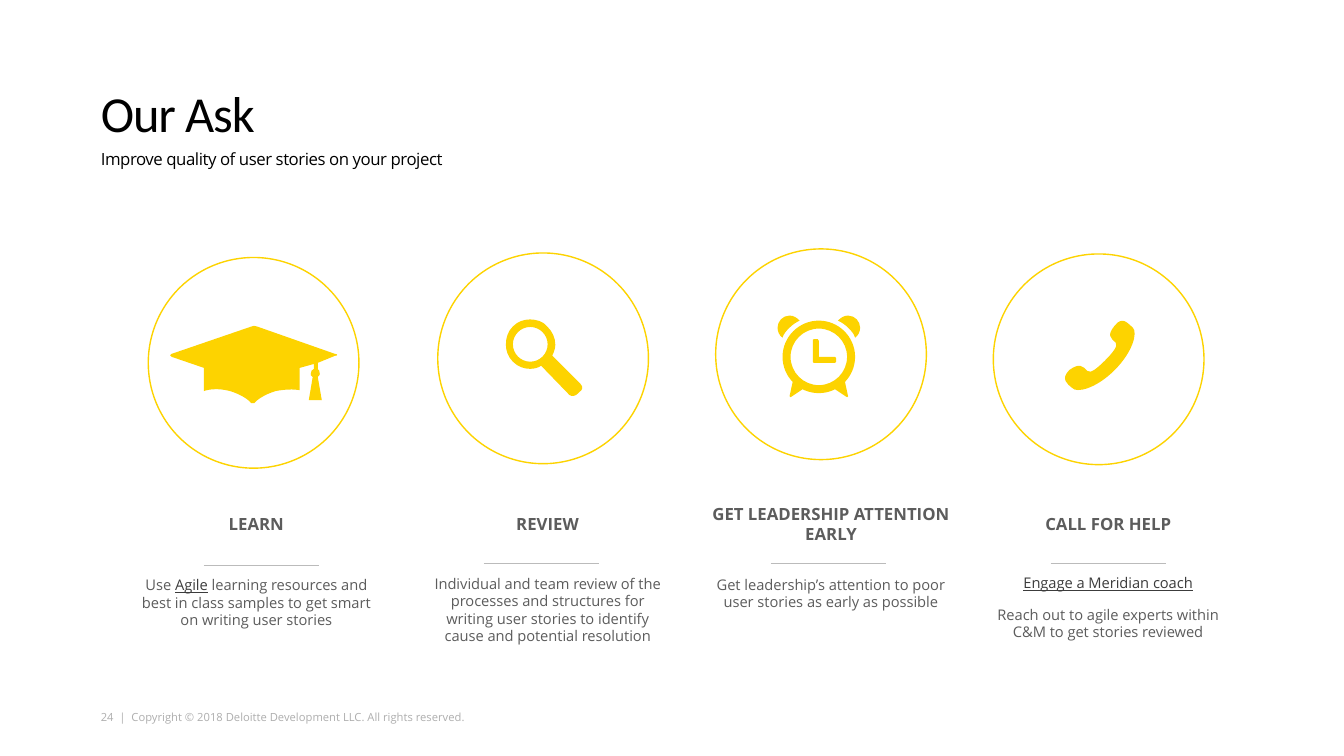
from lxml.etree import SubElement
from pptx import Presentation
from pptx.dml.color import RGBColor
from pptx.enum.shapes import MSO_CONNECTOR as Connector, MSO_SHAPE as Shape
from pptx.enum.text import MSO_ANCHOR as Anchor, MSO_AUTO_SIZE as AutoSize, PP_ALIGN as Align
from pptx.oxml.ns import qn
from pptx.util import Pt

COLORS = {"yellow": "FDD300", "black": "000000", "gray": "5C5C5C",
          "link": "3C3C3C", "rule": "BBBBBB", "footer": "AEAEAE"}
TITLE = "Our Ask"
SUBTITLE = "Improve quality of user stories on your project"
FOOTER = "24  |  Copyright © 2018 Deloitte Development LLC. All rights reserved."

# Outlines in points: a pair is a corner, six numbers are a Bézier curve
CAP = [(118.1, 20.2), (62.6, 0.7), (61, 0, 59.5, 0, 58.3, 0.7), (1.4, 20.2),
       (0, 20.9, 0, 21.6, 1.4, 22.3), (24.5, 30.2), (24.5, 46.8),
       (28, 45.4, 35.3, 44.6, 43.2, 46.8), (50.4, 49, 56.2, 52.6, 58.3, 55.4),
       (60.5, 55.4), (62.6, 52.6, 68.4, 49, 75.6, 46.8),
       (82.8, 45.4, 88.6, 45.4, 92.9, 46.1), (92.9, 30.2), (103, 27.4), (103, 31),
       (101.5, 31.7, 100.8, 32.4, 100.8, 34.6), (100.8, 35.3, 100.8, 36, 102.2, 36.7),
       (99.4, 53.3), (108.7, 53.3), (105.8, 36.7),
       (106.6, 36, 107.3, 35.3, 107.3, 34.6), (107.3, 32.4, 106.6, 31.7, 105.8, 31),
       (105.8, 26.6), (118.1, 21.6), (120.2, 21.6, 120.2, 20.2, 118.1, 20.2)]
LENS = [(33.1, 25.9), (53.3, 46.1), (55.4, 48.2, 54.7, 50.4, 52.6, 51.8), (51.8, 52.6),
        (49.7, 54.7, 47.5, 55.4, 45.4, 54), (25.2, 33.1),
        (23, 34.6, 20.2, 35.3, 17.3, 35.3), (13, 35.3, 8.6, 33.8, 5, 30.2),
        (1.4, 26.6, 0, 22.3, 0, 18), (0, 13, 1.4, 8.6, 5, 5), (8.6, 1.4, 13, 0, 17.3, 0),
        (21.6, 0, 26.6, 1.4, 29.5, 5), (33.1, 8.6, 35.3, 13, 35.3, 18),
        (35.3, 20.2, 34.6, 23, 33.1, 25.9)]
HANDS = [(25.2, 17.3), (25.2, 16.9, 25.6, 16.9, 25.9, 16.9), (28.8, 16.9),
         (29.5, 16.9, 29.5, 17.3, 29.5, 18), (29.5, 29.5), (41, 29.5),
         (41.8, 29.5, 41.8, 29.9, 41.8, 30.2), (41.8, 33.1),
         (41.8, 33.8, 41.4, 33.8, 41, 33.8), (25.9, 33.8),
         (25.6, 33.8, 25.2, 33.8, 25.2, 33.1)]
BELL = [(59, 8.6), (59, 11.5, 57.6, 14.4, 55.4, 15.8), (54.7, 13, 52.6, 10.8, 50.4, 8.6),
        (48.2, 6.5, 46.1, 5, 43.2, 3.6), (45.4, 1.4, 47.5, 0, 50.4, 0),
        (55.4, 0, 59, 4.3, 59, 8.6)]
FOOT = [(48.2, 47.5), (50.4, 57.6), (49.7, 58.3), (41, 52.6),
        (43.7, 51.3, 46.2, 49.6, 48.2, 47.5)]
PHONE = [(31.7, 32.4), (26.6, 37.4, 21.6, 41.8, 19.4, 39.6),
         (15.8, 36, 13.7, 33.8, 6.5, 38.9), (0, 45.4, 5, 49, 8.6, 51.8),
         (11.5, 55.4, 25.2, 52.6, 38.9, 38.9), (51.8, 25.9, 55.4, 12.2, 51.8, 8.6),
         (48.2, 5.8, 44.6, 0, 38.9, 7.2), (33.1, 14.4, 36, 15.8, 39.6, 19.4),
         (41.8, 21.6, 36.7, 27.4, 31.7, 32.4)]


def mirror(outline, width=59):
    return [tuple(width - v if i % 2 == 0 else v for i, v in enumerate(step))
            for step in outline]


def circle(x, y, r):
    k = 0.55 * r
    return [(x + r, y), (x + r, y + k, x + k, y + r, x, y + r),
            (x - k, y + r, x - r, y + k, x - r, y),
            (x - r, y - k, x - k, y - r, x, y - r),
            (x + k, y - r, x + r, y - k, x + r, y)]


CLOCK = [circle(29.5, 29.5, 25.9), circle(29.5, 29.5, 20.2), HANDS,
         BELL, mirror(BELL), FOOT, mirror(FOOT)]

# Each column: circle (left, top), heading (left, width), rule (left, top),
# detail (left, top), icon (left, top); a detail run is (text, is link)
COLUMNS = [
    {"heading": "LEARN", "detail": [[("Use ", False), ("Agile", True), (
        " learning resources and best in class samples to get smart on writing user stories",
        False)]],
     "circle": (105.9, 183.9), "label": (76.6, 213.1), "rule": (145.6, 403.9),
     "text": (91.4, 407.9), "icon": (121.2, 232.6), "outlines": [CAP]},
    {"heading": "REVIEW", "detail": [[(
        "Individual and team review of the processes and structures for "
        "writing user stories to identify cause and potential resolution", False)]],
     "circle": (312.7, 180.7), "label": (278.8, 224.6), "rule": (345.6, 402.5),
     "text": (299.5, 406.8), "icon": (361.4, 228.2),
     "outlines": [LENS, circle(17.4, 17.8, 12.4)]},
    {"heading": "GET LEADERSHIP ATTENTION EARLY", "detail": [[(
        "Get leadership’s attention to poor user stories as early as possible", False)]],
     "circle": (511.2, 177.8), "label": (483.1, 221), "rule": (550.6, 402.5),
     "text": (501.8, 407.5), "icon": (555.4, 225.4), "outlines": CLOCK},
    {"heading": "CALL FOR HELP", "detail": [
        [("Engage a Meridian coach", True)],
        [("Reach out to agile experts within C&M to get stories reviewed", False)]],
     "circle": (709.5, 181.4), "label": (708.5, 166.3), "rule": (750.5, 402.5),
     "text": (699.8, 406.3), "icon": (757.4, 225.4), "outlines": [PHONE]},
]
DIAMETER, RULE_WIDTH, DETAIL_WIDTH = 150.5, 82.3, 183.6

deck = Presentation()
deck.slide_width, deck.slide_height = Pt(960), Pt(540)
page = deck.slides.add_slide(deck.slide_layouts[1])
shapes = page.shapes


def color(name):
    return RGBColor.from_string(COLORS[name])


def add_span(para, text, size, tint, face="Open Sans", spacing=None):
    span = para.add_run()
    span.text = text
    span.font.size, span.font.name = Pt(size), face
    span.font.color.rgb = color(tint)
    if spacing:
        span.font._element.set("spc", str(spacing))
    return span


def set_frame(box, anchor=Anchor.TOP, wrap=True, margins=(7.2, 3.6, 7.2, 3.6)):
    frame = box.text_frame
    frame.auto_size, frame.word_wrap = AutoSize.NONE, wrap
    frame.vertical_anchor = anchor
    (frame.margin_left, frame.margin_top,
     frame.margin_right, frame.margin_bottom) = map(Pt, margins)
    return frame


def add_box(left, top, width, height, **options):
    return set_frame(shapes.add_textbox(Pt(left), Pt(top), Pt(width), Pt(height)), **options)


def add_icon(outlines, left, top):
    traces = [[(Pt(left + x), Pt(top + y)) for step in outline
               for x, y in zip(step[::2], step[1::2])] for outline in outlines]
    builder = shapes.build_freeform(*traces[0][0])
    for i, points in enumerate(traces):
        if i:
            builder.move_to(*points[0])
        builder.add_line_segments(points[1:], close=True)
    icon = builder.convert_to_shape()
    # Join each run of three segments that belongs to one curve
    segments = iter(list(icon._element.iter(qn("a:lnTo"))))
    for outline in outlines:
        for step in outline[1:]:
            first, *others = [next(segments) for _ in step[::2]]
            if others:
                first.tag = qn("a:cubicBezTo")
            for segment in others:
                first.append(segment[0])
                segment.getparent().remove(segment)
    icon.shadow.inherit = False
    icon.fill.solid()
    icon.fill.fore_color.rgb = color("yellow")
    icon.line.fill.background()


# Title and subtitle
title, subtitle = shapes.title, page.placeholders[1]
for box, top, height in ((title, 54.7, 46.8), (subtitle, 106.2, 37.4)):
    box.left, box.top, box.width, box.height = Pt(72), Pt(top), Pt(815.8), Pt(height)
para = set_frame(title, Anchor.BOTTOM, margins=(0, 3.6, 0, 0)).paragraphs[0]
para.alignment, para.line_spacing = Align.LEFT, 0.8
add_span(para, TITLE, 36, "black", "Calibri", -80)
para = set_frame(subtitle, margins=(0, 0, 0, 0)).paragraphs[0]
props = para._p.get_or_add_pPr()
props.set("marL", "0")
props.set("indent", "0")
SubElement(props, qn("a:buNone"))
para.alignment, para.space_before = Align.LEFT, Pt(0)
add_span(para, SUBTITLE, 12, "black", spacing=-30)

# Four columns
for column in COLUMNS:
    left, top = column["circle"]
    ring = shapes.add_shape(Shape.OVAL, Pt(left), Pt(top), Pt(DIAMETER), Pt(DIAMETER))
    ring.shadow.inherit = False
    ring.fill.background()
    ring.line.color.rgb, ring.line.width = color("yellow"), Pt(1)
    add_icon(column["outlines"], *column["icon"])

    left, width = column["label"]
    para = add_box(left, 349.4, width, 49.7, anchor=Anchor.MIDDLE).paragraphs[0]
    para.alignment = Align.CENTER
    add_span(para, column["heading"], 12, "gray").font.bold = True

    left, top = column["rule"]
    rule = shapes.add_connector(Connector.STRAIGHT, Pt(left), Pt(top),
                                Pt(left + RULE_WIDTH), Pt(top))
    rule.line.color.rgb, rule.line.width = color("rule"), Pt(0.5)
    SubElement(rule._element.spPr, qn("a:effectLst"))

    frame = add_box(*column["text"], DETAIL_WIDTH, 58)
    for i, spans in enumerate(column["detail"]):
        para = frame.add_paragraph() if i else frame.paragraphs[0]
        para.alignment, para.space_after = Align.CENTER, Pt(10)
        for text, is_link in spans:
            span = add_span(para, text, 10.5, "link" if is_link else "gray")
            if is_link:
                span.font.underline = True

# Footer
frame = add_box(72, 507.6, 263.5, 9.4, wrap=False, margins=(0, 0, 0, 0))
add_span(frame.paragraphs[0], FOOTER, 8, "footer")

deck.save("out.pptx")
